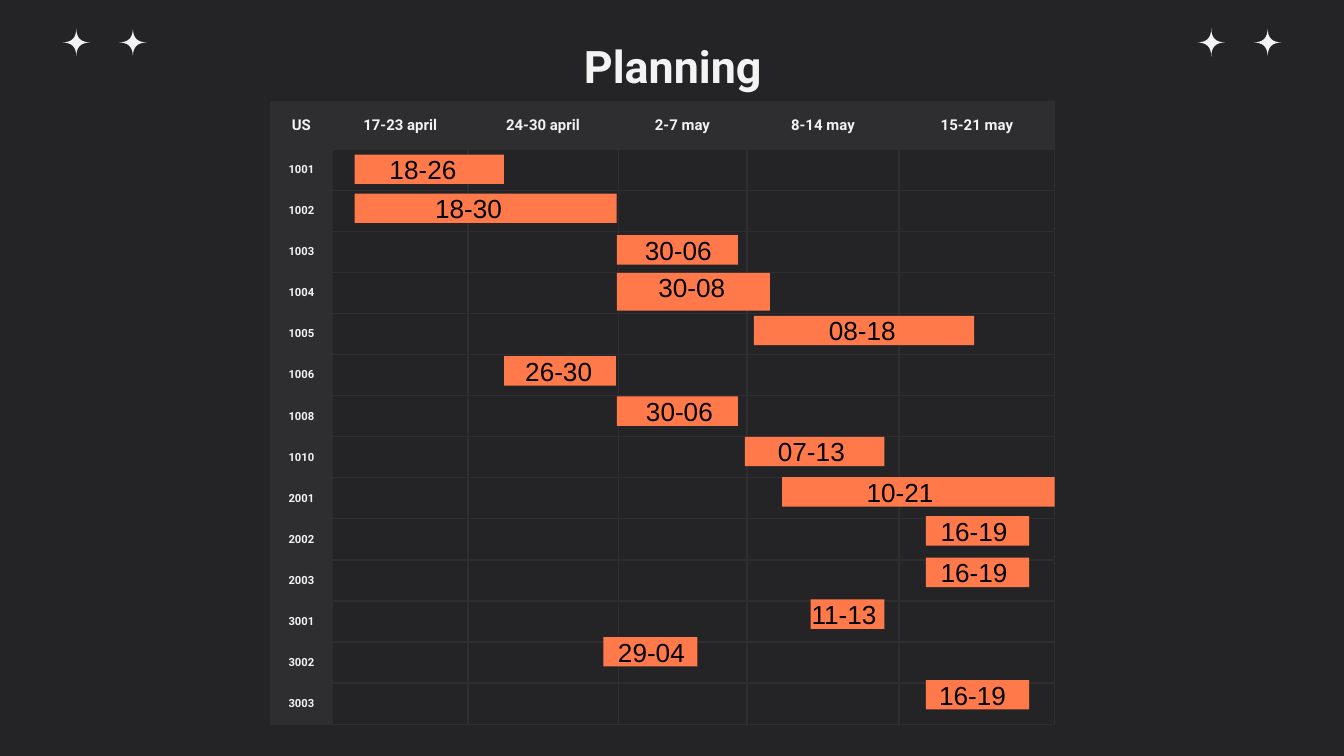
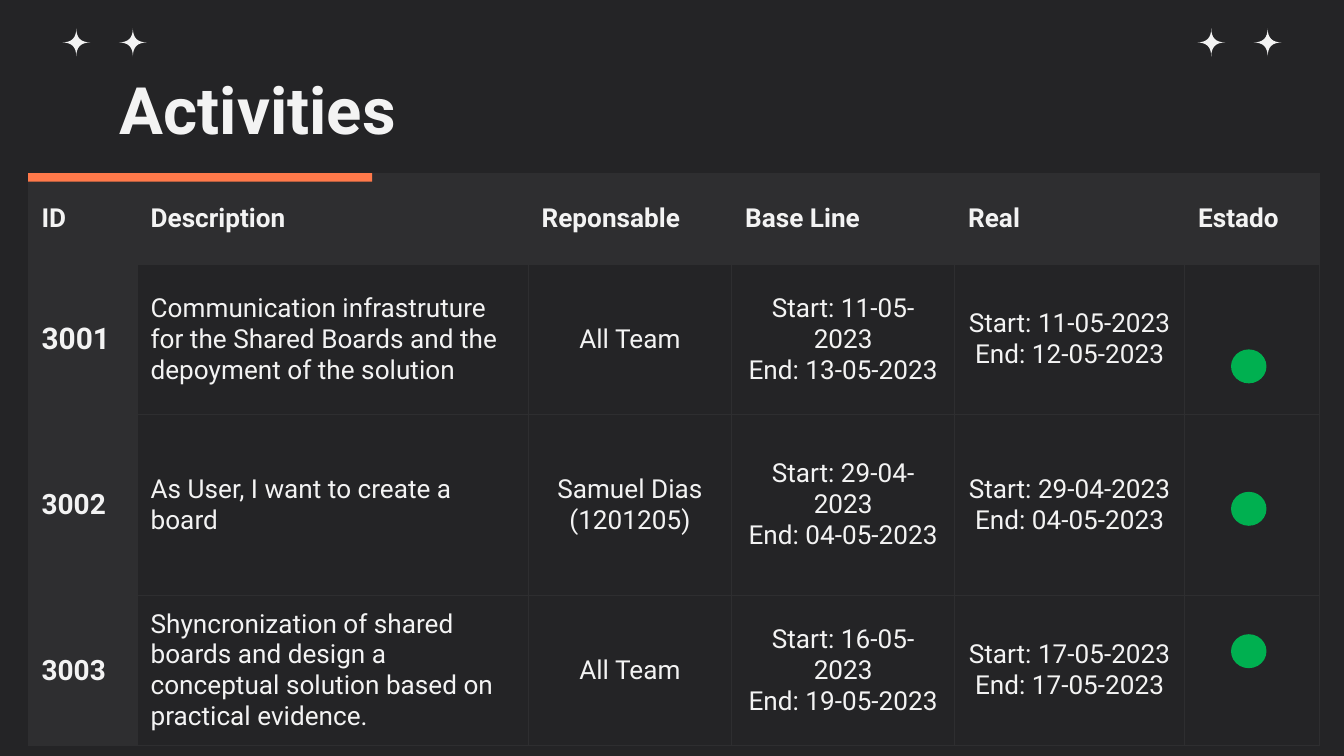
from dataclasses import dataclass
from pptx import Presentation
from pptx.dml.color import RGBColor as RGB
from pptx.enum.shapes import MSO_SHAPE as SHAPE
from pptx.enum.text import MSO_ANCHOR as ANCHOR, MSO_AUTO_SIZE as FIT, PP_ALIGN as ALIGN
from pptx.oxml.ns import qn
from pptx.util import Pt
from lxml.etree import SubElement


@dataclass(frozen=True)
class Theme:
    bg: RGB = RGB.from_string("242426")
    panel: RGB = RGB.from_string("2E2E30")
    light: RGB = RGB.from_string("F3F3F3")
    accent: RGB = RGB.from_string("FF794A")
    done: RGB = RGB.from_string("00B050")
    dark: RGB = RGB.from_string("000000")
    font: str = "Roboto"
    label_font: str = "Arial"
    body: int = 14
    week: int = 8
    story: int = 6
    inset: float = 7.2


T = Theme()

# Content: planning (story, dates, bar left, bar top, bar width, label left)
WEEKS = ["US", "17-23 april", "24-30 april", "2-7 may", "8-14 may", "15-21 may"]
BARS = [
    ("1001", "18-26", 190, 82.8, 80, 201.6),
    ("1002", "18-30", 190, 103.7, 140.4, 226),
    ("1003", "30-06", 330.5, 126, 64.8, 338.4),
    ("1004", "30-08", 330.5, 146.2, 82, 345.6),
    ("1005", "08-18", 403.9, 169.2, 118, 437),
    ("1006", "26-30", 270, 190.8, 60, 274.3),
    ("1008", "30-06", 330.5, 212.4, 64.8, 339),
    ("1010", "07-13", 399, 234, 74.9, 409.7),
    ("2001", "10-21", 419, 255.6, 146, 457.2),
    ("2002", "16-19", 496, 276.5, 55.4, 496.8),
    ("2003", "16-19", 496, 298.8, 55.4, 496.8),
    ("3001", "11-13", 434.2, 321.1, 39.6, 427.7),
    ("3002", "29-04", 323.3, 341.3, 50.4, 324),
    ("3003", "16-19", 496, 364.3, 55.4, 496),
]
PLAN_COLS = [33.5, 72.5, 80.5, 69, 81.5, 83.5]
BAR_H, TALL_BAR_H = 15.8, 20.2

# Content: activities
ACTIVITIES = [
    ["ID", "Description", "Reponsable", "Base Line", "Real", "Estado"],
    ["3001", "Communication infrastruture for the Shared Boards and the "
     "depoyment of the solution", "All Team",
     "Start: 11-05-2023\nEnd: 13-05-2023", "Start: 11-05-2023\nEnd: 12-05-2023", ""],
    ["3002", "As User, I want to create a board", "Samuel Dias\n(1201205)",
     "Start: 29-04-2023\nEnd: 04-05-2023", "Start: 29-04-2023\nEnd: 04-05-2023", ""],
    ["3003", "Shyncronization of shared boards and design a conceptual solution "
     "based on practical evidence.", "All Team",
     "Start: 16-05-2023\nEnd: 19-05-2023", "Start: 17-05-2023\nEnd: 17-05-2023", ""],
]
ACTIVITY_COLS = [58.4, 209.5, 109, 119.5, 123.2, 72.2]
ACTIVITY_ROWS = [48.7, 80.4, 97, 80.4]
ID_SIZES = {"3001": 16, "3002": 15, "3003": 15}
STATUS_TOPS = [187.2, 263.5, 339.8]

# Shared decoration: star centres
STAR_XS, STAR_Y, STAR_R = [40.9, 71.2, 648.9, 679.1], 22.75, 7.5


def format_text(tf, size, color, font=T.font, bold=False, align=None):
    for p in tf.paragraphs:
        p.alignment = align
        for r in p.runs:
            f = r.font
            f.name, f.size, f.bold = font, Pt(size), bold
            f.color.rgb = color


def set_insets(box, x, y):
    box.margin_left = box.margin_right = Pt(x)
    box.margin_top = box.margin_bottom = Pt(y)


def paint(sp, color):
    sp.shadow.inherit = False
    sp.fill.solid()
    sp.fill.fore_color.rgb = color
    sp.line.fill.background()


def add_block(s, kind, left, top, width, height, color):
    paint(s.shapes.add_shape(kind, Pt(left), Pt(top), Pt(width), Pt(height)), color)


def add_stars(s, master):
    """Draw the four stars and hand them to the master."""
    steps = [i / 8 for i in range(8)]
    arm = [(-STAR_R * (1 - t) ** 2, STAR_R * t * t) for t in steps]
    outline = []
    for _ in range(4):
        outline += arm
        arm = [(y, -x) for x, y in arm]
    for i, cx in enumerate(STAR_XS):
        pts = [(Pt(cx + x), Pt(STAR_Y + y)) for x, y in outline]
        builder = s.shapes.build_freeform(*pts[0], scale=1.0)
        builder.add_line_segments(pts[1:], close=True)
        star = builder.convert_to_shape()
        paint(star, T.light)
        star._element.nvSpPr.cNvPr.set("id", str(100 + i))
        master.shapes._spTree.append(star._element)


def add_title(s, text, top, size, align):
    sp = s.shapes.title
    sp.left, sp.top, sp.width, sp.height = Pt(56.9), Pt(top), Pt(607), Pt(45.4)
    tf = sp.text_frame
    tf.text = text
    tf.auto_size, tf.vertical_anchor = FIT.NONE, ANCHOR.MIDDLE
    set_insets(tf, T.inset, T.inset)
    format_text(tf, size, T.light, bold=True, align=align)


def set_borders(cell):
    tcPr = cell._tc.get_or_add_tcPr()
    for i, side in enumerate(("lnL", "lnR", "lnT", "lnB")):
        ln = tcPr.makeelement(qn("a:" + side), {"w": str(Pt(0.75))})
        fill = SubElement(ln, qn("a:solidFill"))
        SubElement(fill, qn("a:srgbClr"), val=str(T.panel))
        tcPr.insert(i, ln)


def add_grid(s, rows, left, top, widths, heights, style):
    """Table with a filled header row and first column; style(r, c, text) -> size, bold, align."""
    table = s.shapes.add_table(len(rows), len(widths), Pt(left), Pt(top),
                               Pt(sum(widths)), Pt(sum(heights))).table
    table.horz_banding = False
    for col, width in zip(table.columns, widths):
        col.width = Pt(width)
    for r, (row, height) in enumerate(zip(rows, heights)):
        table.rows[r].height = Pt(height)
        for c, text in enumerate(row):
            cell = table.cell(r, c)
            cell.vertical_anchor = ANCHOR.MIDDLE
            set_insets(cell, T.inset, T.inset if text else 0)
            if r == 0 or c == 0:
                cell.fill.solid()
                cell.fill.fore_color.rgb = T.panel
            else:
                cell.fill.background()
            set_borders(cell)
            if text:
                size, bold, align = style(r, c, text)
                cell.text_frame.text = text
                format_text(cell.text_frame, size, T.light, bold=bold, align=align)


def plan_style(r, c, text):
    return (T.story if r else T.week), True, ALIGN.CENTER


def activity_style(r, c, text):
    return (ID_SIZES.get(text, T.body), r == 0 or c == 0,
            ALIGN.CENTER if r and c > 1 else ALIGN.LEFT)


def build_planning(s):
    add_title(s, "Planning", 12.2, 24, ALIGN.CENTER)
    rows = [WEEKS] + [[bar[0]] + [""] * 5 for bar in BARS]
    add_grid(s, rows, 144.7, 54.3, PLAN_COLS, [25.7] + [21.36] * len(BARS), plan_style)
    for story, _, left, top, width, _ in BARS:
        height = TALL_BAR_H if story == "1004" else BAR_H
        add_block(s, SHAPE.RECTANGLE, left, top, width, height, T.accent)
    for _, dates, _, top, _, label_left in BARS:
        box = s.shapes.add_textbox(Pt(label_left), Pt(top - 4.1), Pt(59.8), Pt(24.2))
        tf = box.text_frame
        tf.word_wrap = True
        tf.text = dates
        format_text(tf, T.body, T.dark, T.label_font)


def build_activities(s):
    left, top = 15.1, 92.8
    add_title(s, "Activities", 35.3, 35, ALIGN.LEFT)
    add_grid(s, ACTIVITIES, left, top, ACTIVITY_COLS, ACTIVITY_ROWS, activity_style)
    add_block(s, SHAPE.RECTANGLE, left, top, 184.3, 4.6, T.accent)
    for status_top in STATUS_TOPS:
        add_block(s, SHAPE.OVAL, 659.5, status_top, 19, 18.2, T.done)


def main():
    prs = Presentation()
    prs.slide_width, prs.slide_height = Pt(720), Pt(405)
    master = prs.slide_master
    master.background.fill.solid()
    master.background.fill.fore_color.rgb = T.bg
    title_only = prs.slide_layouts[5]
    planning, activities = (prs.slides.add_slide(title_only) for _ in range(2))
    add_stars(planning, master)
    build_planning(planning)
    build_activities(activities)
    prs.save("out.pptx")


if __name__ == "__main__":
    main()
